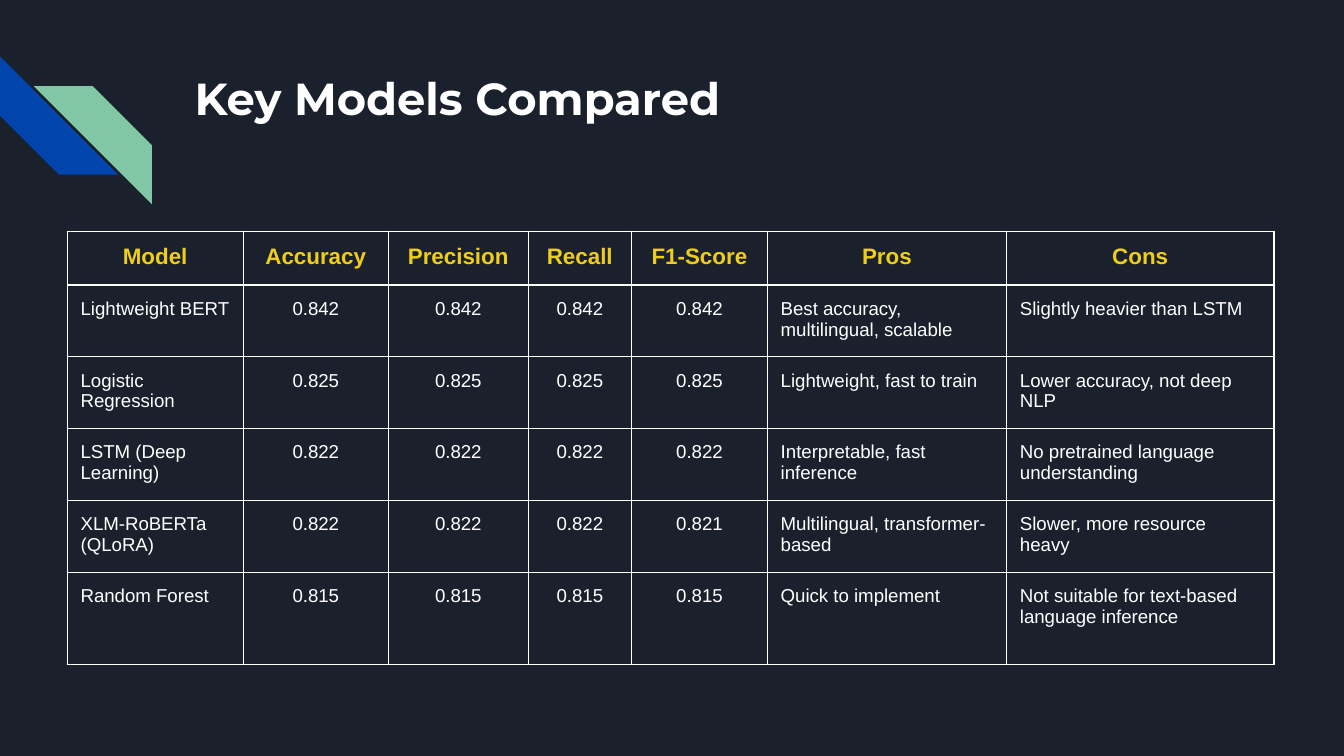
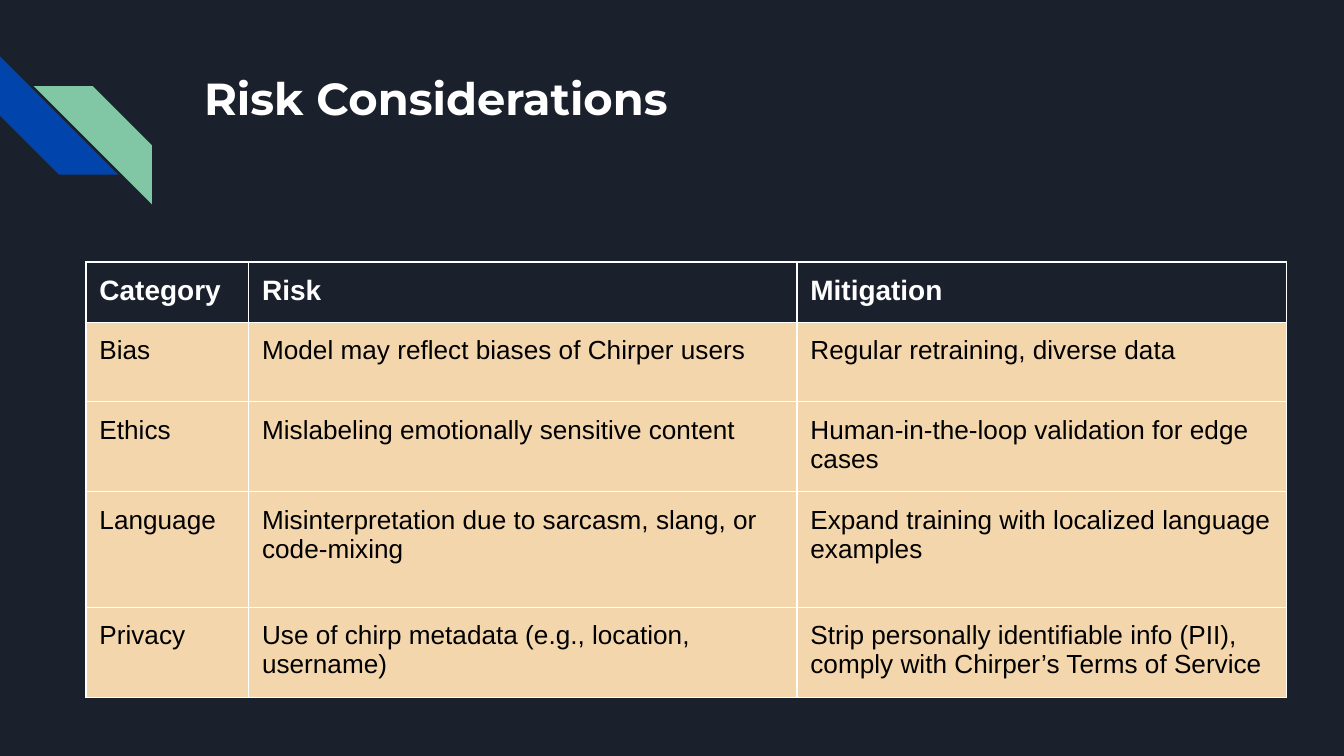
from dataclasses import dataclass
from typing import Any, Optional

from lxml import etree
from pptx import Presentation
from pptx.dml.color import RGBColor
from pptx.enum.shapes import MSO_SHAPE
from pptx.enum.text import MSO_ANCHOR, PP_ALIGN
from pptx.oxml.ns import qn
from pptx.util import Inches, Pt

STRIPE = MSO_SHAPE.DIAGONAL_STRIPE
TOP = MSO_ANCHOR.TOP
LEFT, MID = PP_ALIGN.LEFT, PP_ALIGN.CENTER

# Wide 16:9 page
WIDTH = Inches(10)
HEIGHT = WIDTH * 9 // 16

# Shared look
NIGHT, WHITE, BLACK = "1B212C", "FFFFFF", "000000"
BLUE, GREEN, GOLD, SAND = "0145AC", "82C7A5", "EECE1A", "F4D6AD"
PAD = Inches(0.1)
INSET = dict.fromkeys(
    ("margin_left", "margin_right", "margin_top", "margin_bottom"), PAD)
TITLE = {"name": "Montserrat", "size": Pt(24), "bold": True}


@dataclass
class Stripe:
    left: float
    top: float
    color: str
    turn: int = 0
    flip: bool = False


@dataclass
class Style:
    size: int
    color: str
    bold: bool = False
    fill: Optional[str] = None


@dataclass
class Grid:
    title: str
    indent: float
    left: float
    top: float
    cols: list[float]
    rows: list[float]
    head: Style
    body: Style
    cells: list[list[str]]
    mid_head: bool = False
    mid_cols: tuple[int, ...] = ()


STRIPES = [
    Stripe(0, 0.42, BLUE, turn=270),
    Stripe(0.25, 0.64, GREEN, flip=True),
]


def score(name: str, value: str, pro: str, con: str, last: str = "") -> list[str]:
    """One model row: the same score in all columns unless F1 differs."""
    return [name, value, value, value, last or value, pro, con]


GRIDS = [
    Grid(
        "Key Models Compared", 1.35, 0.5, 1.72,
        [1.31, 1.08, 1.04, 0.77, 1.01, 1.78, 1.99],
        [0.37, 0.48, 0.48, 0.48, 0.48, 0.69],
        Style(12, GOLD, bold=True), Style(10, WHITE),
        [
            ["Model", "Accuracy", "Precision", "Recall", "F1-Score", "Pros", "Cons"],
            score("Lightweight BERT", "0.842", "Best accuracy, multilingual, scalable",
                  "Slightly heavier than LSTM"),
            score("Logistic Regression", "0.825", "Lightweight, fast to train",
                  "Lower accuracy, not deep NLP"),
            score("LSTM (Deep Learning)", "0.822", "Interpretable, fast inference",
                  "No pretrained language understanding"),
            score("XLM-RoBERTa (QLoRA)", "0.822", "Multilingual, transformer-based",
                  "Slower, more resource heavy", last="0.821"),
            score("Random Forest", "0.815", "Quick to implement",
                  "Not suitable for text-based language inference"),
        ],
        mid_head=True, mid_cols=(1, 2, 3, 4),
    ),
    Grid(
        "Risk Considerations", 1.42, 0.64, 1.95,
        [1.21, 4.08, 3.64],
        [0.45, 0.59, 0.67, 0.86, 0.67],
        Style(15, WHITE, bold=True), Style(14, BLACK, fill=SAND),
        [
            ["Category", "Risk", "Mitigation"],
            ["Bias", "Model may reflect biases of Chirper users",
             "Regular retraining, diverse data"],
            ["Ethics", "Mislabeling emotionally sensitive content",
             "Human-in-the-loop validation for edge cases"],
            ["Language", "Misinterpretation due to sarcasm, slang, or code-mixing",
             "Expand training with localized language examples"],
            ["Privacy", "Use of chirp metadata (e.g., location, username)",
             "Strip personally identifiable info (PII), "
             "comply with Chirper’s Terms of Service"],
        ],
    ),
]


def paint(fill: Any, color: str) -> None:
    fill.solid()
    fill.fore_color.rgb = RGBColor.from_string(color)


def apply(item: Any, form: dict[str, Any]) -> None:
    for key, value in form.items():
        setattr(item, key, value)


def write(frame: Any, text: str, form: dict[str, Any], color: str, align: Any) -> None:
    para = frame.paragraphs[0]
    para.alignment = align
    run = para.add_run()
    run.text = text
    apply(run.font, form)
    run.font.color.rgb = RGBColor.from_string(color)


def edge(cell: Any) -> None:
    """Thin white line on all four sides."""
    props = cell._tc.get_or_add_tcPr()
    for side in ("a:lnL", "a:lnR", "a:lnT", "a:lnB"):
        line = etree.SubElement(props, qn(side), w=str(Pt(0.75)))
        fill = etree.SubElement(line, qn("a:solidFill"))
        etree.SubElement(fill, qn("a:srgbClr"), val=WHITE)


def add_stripe(slide: Any, item: Stripe) -> None:
    side = Inches(0.88)
    shape = slide.shapes.add_shape(
        STRIPE, Inches(item.left), Inches(item.top), side, side)
    shape.adjustments[0] = 0.5
    shape.rotation = item.turn
    shape.shadow.inherit = False
    paint(shape.fill, item.color)
    shape.line.fill.background()
    if item.flip:
        shape.element.spPr.xfrm.set("flipH", "1")


def add_title(slide: Any, text: str, left: float) -> None:
    box = slide.shapes.add_textbox(
        Inches(left), Inches(0.43), Inches(7.7), Inches(1))
    apply(box.text_frame, {**INSET, "word_wrap": True, "vertical_anchor": TOP})
    write(box.text_frame, text, TITLE, WHITE, LEFT)


def add_grid(slide: Any, grid: Grid) -> None:
    table = slide.shapes.add_table(
        len(grid.rows), len(grid.cols), Inches(grid.left), Inches(grid.top),
        Inches(sum(grid.cols)), Inches(sum(grid.rows))).table
    apply(table, {"first_row": False, "horz_banding": False})
    for col, width in zip(table.columns, grid.cols):
        col.width = Inches(width)
    for row, height in zip(table.rows, grid.rows):
        row.height = Inches(height)
    for r, texts in enumerate(grid.cells):
        style = grid.body if r else grid.head
        form = {"name": "Arial", "size": Pt(style.size), "bold": style.bold}
        for c, text in enumerate(texts):
            cell = table.cell(r, c)
            apply(cell, {**INSET, "vertical_anchor": TOP})
            edge(cell)
            if style.fill:
                paint(cell.fill, style.fill)
            else:
                cell.fill.background()
            mid = c in grid.mid_cols if r else grid.mid_head
            write(cell.text_frame, text, form, style.color, MID if mid else LEFT)


def main() -> None:
    deck = Presentation()
    apply(deck, {"slide_width": WIDTH, "slide_height": HEIGHT})
    for grid in GRIDS:
        slide = deck.slides.add_slide(deck.slide_layouts[6])
        paint(slide.background.fill, NIGHT)
        for item in STRIPES:
            add_stripe(slide, item)
        add_title(slide, grid.title, grid.indent)
        add_grid(slide, grid)
    deck.save("out.pptx")


if __name__ == "__main__":
    main()
